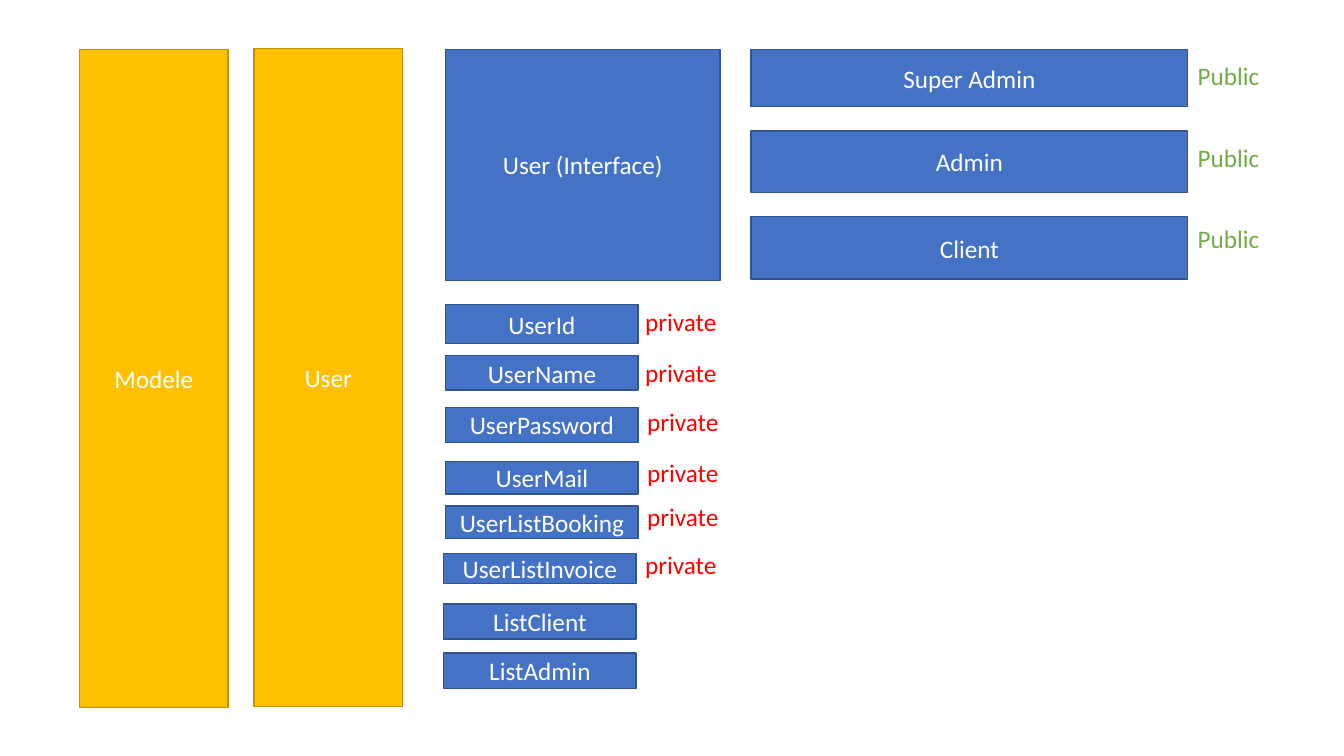
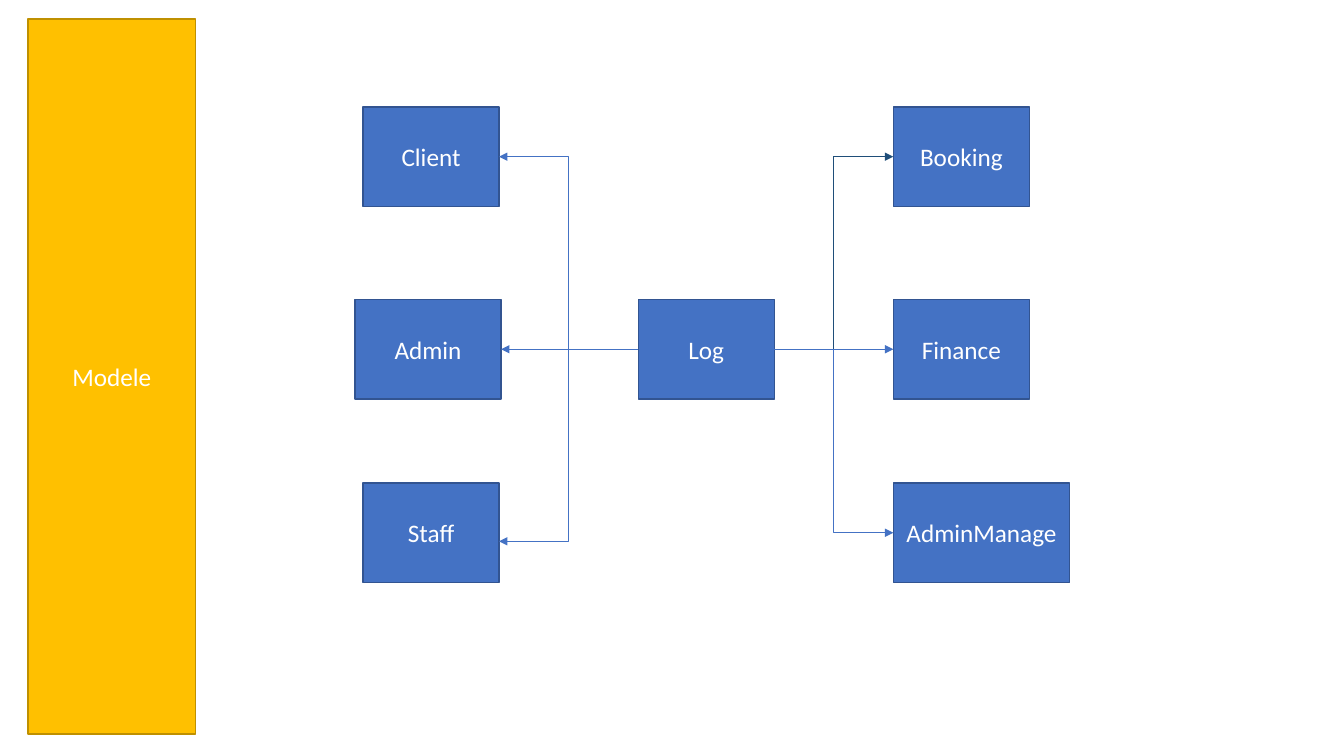
from dataclasses import dataclass

from lxml.etree import SubElement
from pptx import Presentation
from pptx.dml.color import RGBColor
from pptx.enum.shapes import MSO_CONNECTOR, MSO_SHAPE
from pptx.enum.text import MSO_ANCHOR, MSO_AUTO_SIZE, PP_ALIGN
from pptx.oxml.ns import qn
from pptx.shapes.autoshape import Shape
from pptx.slide import Slide
from pptx.text.text import TextFrame
from pptx.util import Emu, Pt

# Shared look
PX = 9144  # EMU per px, 100 px to the inch
FONT = "Calibri"
BLUE, BLUE_EDGE, NAVY = "4472C4", "325491", "1F4E79"
GOLD, GOLD_EDGE = "FFC000", "BF9000"
WHITE, GREEN, RED = "FFFFFF", "70AD47", "FF0000"
SITE_LEFT, SITE_RIGHT = 1, 3  # connection sites of a rectangle


@dataclass(frozen=True)
class Box:
    text: str
    x: int
    y: int
    w: int
    h: int
    fill: str = BLUE
    edge: str = BLUE_EDGE


@dataclass(frozen=True)
class Label:
    text: str
    x: int
    y: int
    w: int
    color: str


@dataclass(frozen=True)
class Arrow:
    target: str
    leftward: bool
    bent: bool = True
    color: str = BLUE
    end_y: int | None = None  # set when the tip is off the middle of the side


def px(n: int) -> Emu:
    return Emu(n * PX)


def rgb(color: str) -> RGBColor:
    return RGBColor.from_string(color)


def write(tf: TextFrame, text: str, color: str) -> None:
    tf.word_wrap = True
    tf.text = text
    font = tf.paragraphs[0].runs[0].font
    font.name, font.size = FONT, Pt(18)
    font.color.rgb = rgb(color)


def draw_box(s: Slide, box: Box) -> Shape:
    sp = s.shapes.add_shape(MSO_SHAPE.RECTANGLE, px(box.x), px(box.y), px(box.w), px(box.h))
    sp.shadow.inherit = False
    sp.fill.solid()
    sp.fill.fore_color.rgb = rgb(box.fill)
    sp.line.color.rgb = rgb(box.edge)
    sp.line.width = Pt(1)
    tf = sp.text_frame
    write(tf, box.text, WHITE)
    tf.vertical_anchor = MSO_ANCHOR.MIDDLE
    tf.paragraphs[0].alignment = PP_ALIGN.CENTER
    return sp


def draw_label(s: Slide, label: Label) -> None:
    tf = s.shapes.add_textbox(px(label.x), px(label.y), px(label.w), px(40)).text_frame
    write(tf, label.text, label.color)
    tf.auto_size = MSO_AUTO_SIZE.SHAPE_TO_FIT_TEXT


def draw_arrow(s: Slide, source: Shape, target: Shape, arrow: Arrow) -> None:
    kind = MSO_CONNECTOR.ELBOW if arrow.bent else MSO_CONNECTOR.STRAIGHT
    start_x = source.left + (0 if arrow.leftward else source.width)
    start_y = source.top + source.height // 2
    end_x = target.left + (target.width if arrow.leftward else 0)
    end_y = target.top + target.height // 2 if arrow.end_y is None else px(arrow.end_y)
    line = s.shapes.add_connector(kind, start_x, start_y, end_x, end_y)
    near, far = (SITE_LEFT, SITE_RIGHT) if arrow.leftward else (SITE_RIGHT, SITE_LEFT)
    line.begin_connect(source, near)
    if arrow.end_y is None:
        line.end_connect(target, far)
    line.line.color.rgb = rgb(arrow.color)
    line.line.width = Pt(0.5)
    sp_pr = line._element.spPr
    SubElement(sp_pr.find(qn("a:ln")), qn("a:tailEnd"), type="triangle")
    SubElement(sp_pr, qn("a:effectLst"))


def gold_band(text: str, x: int, y: int, w: int, h: int) -> Box:
    return Box(text, x, y, w, h, GOLD, GOLD_EDGE)


def build_user_slide(s: Slide) -> None:
    # Package bands and the interface
    draw_box(s, gold_band("Modele", 79, 49, 147, 653))
    draw_box(s, gold_band("User", 252, 48, 147, 653))
    draw_box(s, Box("User (Interface)", 442, 49, 272, 229))

    # Public classes: name, top, height
    classes = [("Super Admin", 49, 57), ("Admin", 130, 61), ("Client", 215, 62)]
    for i, (name, y, h) in enumerate(classes):
        draw_box(s, Box(name, 745, y, 433, h))
        draw_label(s, Label("Public", 1178, 55 + 81 * i, 110, GREEN))

    # Members: name, left, top, height, place of the "private" label
    members = [
        ("UserId", 442, 302, 39, (630, 299)),
        ("UserName", 442, 353, 34, (630, 350)),
        ("UserPassword", 442, 404, 35, (632, 398)),
        ("UserMail", 442, 458, 32, (632, 449)),
        ("UserListBooking", 442, 502, 32, (632, 492)),
        ("UserListInvoice", 440, 549, 30, (630, 540)),
        ("ListClient", 440, 599, 35, None),
        ("ListAdmin", 440, 648, 35, None),
    ]
    for name, x, y, h, place in members:
        draw_box(s, Box(name, x, y, 191, h))
        if place:
            draw_label(s, Label("private", *place, 307, RED))


def build_log_slide(s: Slide) -> None:
    draw_box(s, gold_band("Modele", 28, 19, 166, 709))

    # Class boxes in three rows
    top, middle, bottom = 106, 297, 479
    w, h = 135, 99
    boxes = [
        Box("Log", 633, middle, w, h),
        Box("Client", 360, top, w, h),
        Box("Admin", 352, middle, 145, h),
        Box("Staff", 360, bottom, w, h),
        Box("Booking", 886, top, w, h),
        Box("Finance", 886, middle, w, h),
        Box("AdminManage", 886, bottom, 175, h),
    ]
    drawn = {box.text: draw_box(s, box) for box in boxes}

    # Arrows from Log
    arrows = [
        Arrow("Staff", leftward=True, end_y=537),
        Arrow("Client", leftward=True),
        Arrow("Booking", leftward=False, color=NAVY),
        Arrow("Admin", leftward=True, bent=False),
        Arrow("AdminManage", leftward=False),
        Arrow("Finance", leftward=False, bent=False),
    ]
    for arrow in arrows:
        draw_arrow(s, drawn["Log"], drawn[arrow.target], arrow)


def main() -> None:
    prs = Presentation()
    prs.slide_width, prs.slide_height = px(1333), px(750)
    for build in (build_user_slide, build_log_slide):
        build(prs.slides.add_slide(prs.slide_layouts[6]))
    prs.save("out.pptx")


if __name__ == "__main__":
    main()
